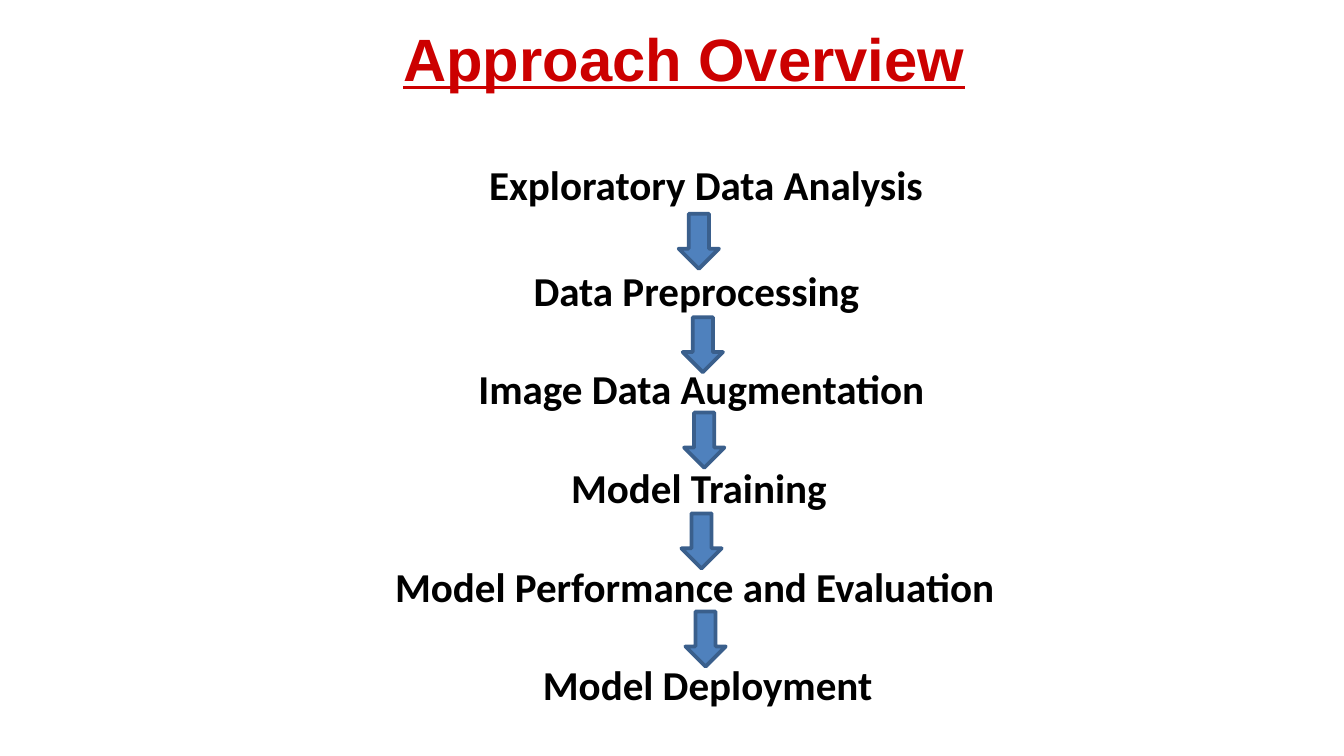
from pptx import Presentation
from pptx.dml.color import RGBColor
from pptx.enum.shapes import MSO_SHAPE
from pptx.util import Inches, Pt

TITLE = "Approach Overview"
STEPS = [
    ("Exploratory Data Analysis", 0.84, 0),
    ("Data Preprocessing", 1.17, 26.5),
    ("Image Data Augmentation", 0.76, 22.5),
    ("Model Training", 1.45, 22.5),
    ("Model Performance and Evaluation", 0.14, 22.5),
    ("Model Deployment", 1.24, 22.5),
]
ARROWS = [(5.05, 1.59), (5.08, 2.36), (5.09, 3.07), (5.07, 3.82), (5.1, 4.55)]
ARROW_W, ARROW_H = 0.3, 0.41
THEME = {
    "title": {"font": "Arial", "size": 32, "color": "CC0000"},
    "step": {"font": "Calibri", "size": 22, "color": "000000"},
    "arrow": {"fill": "4F81BD", "line": "3A5F8C", "width": 2},
}


def add_box(s, left, top, width, height):
    tf = s.shapes.add_textbox(*map(Inches, (left, top, width, height))).text_frame
    tf.word_wrap = True
    tf.margin_left = tf.margin_right = tf.margin_bottom = 0
    tf.margin_top = Inches(0.01)
    return tf


def write(p, text, font, size, color, underline=False, indent=0, before=0, spacing=1.0):
    p.space_before = Pt(before)
    p.line_spacing = spacing
    p._p.get_or_add_pPr().set("marL", str(Inches(indent)))
    r = p.add_run()
    r.text = text
    r.font.name = font
    r.font.size = Pt(size)
    r.font.bold = True
    r.font.underline = underline
    r.font.color.rgb = RGBColor.from_string(color)


def add_arrow(s, left, top, fill, line, width):
    sp = s.shapes.add_shape(
        MSO_SHAPE.DOWN_ARROW, *map(Inches, (left, top, ARROW_W, ARROW_H))
    )
    sp.shadow.inherit = False
    sp.fill.solid()
    sp.fill.fore_color.rgb = RGBColor.from_string(fill)
    sp.line.color.rgb = RGBColor.from_string(line)
    sp.line.width = Pt(width)


def main():
    prs = Presentation()
    prs.slide_width = Inches(10)
    prs.slide_height = prs.slide_width * 9 // 16
    s = prs.slides.add_slide(prs.slide_layouts[6])

    tf = add_box(s, 3, 0.15, 4.38, 0.55)
    write(tf.paragraphs[0], TITLE, underline=True, before=1, **THEME["title"])

    tf = add_box(s, 2.8, 1.12, 5.27, 4.5)
    for i, (text, indent, before) in enumerate(STEPS):
        p = tf.add_paragraph() if i else tf.paragraphs[0]
        write(p, text, indent=indent, before=before, spacing=1.15, **THEME["step"])

    for left, top in ARROWS:
        add_arrow(s, left, top, **THEME["arrow"])

    prs.save("out.pptx")


if __name__ == "__main__":
    main()
